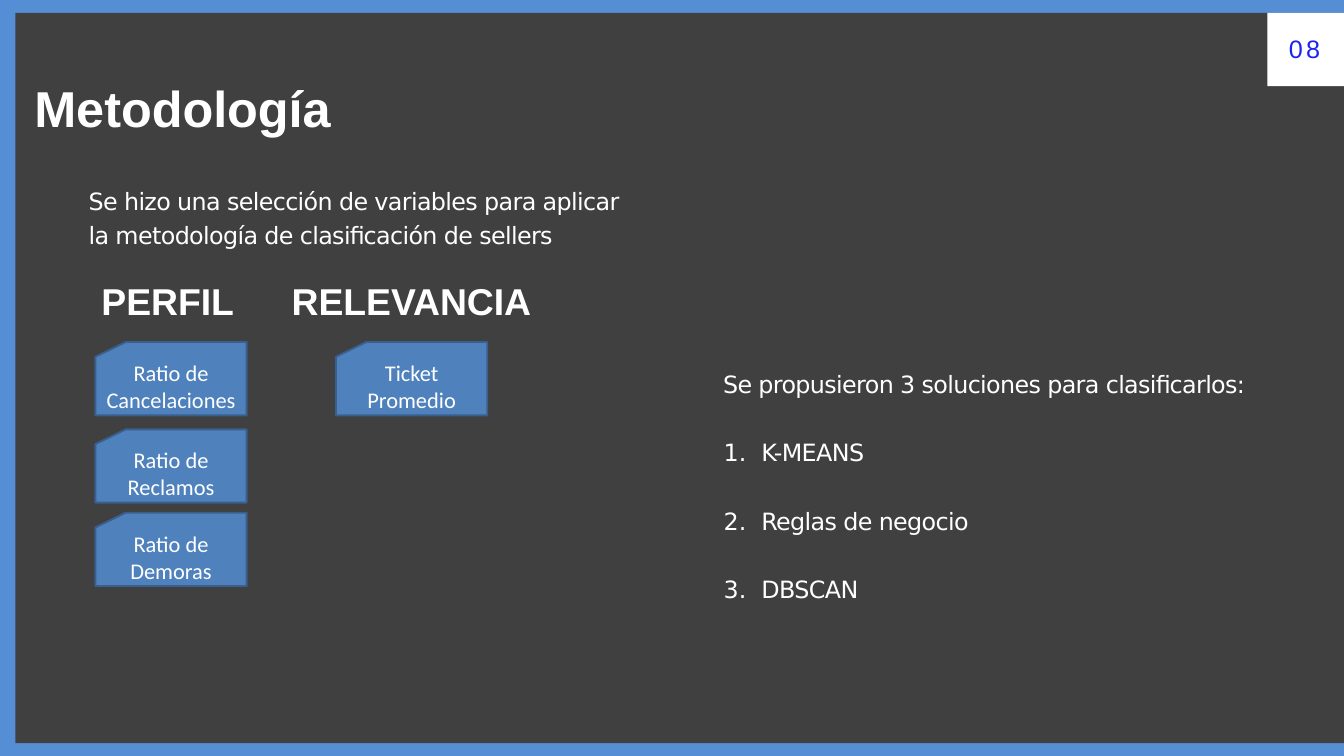
from pptx import Presentation
from pptx.dml.color import RGBColor
from pptx.enum.shapes import MSO_SHAPE as Kind
from pptx.enum.text import MSO_ANCHOR as Anchor, MSO_AUTO_SIZE as Auto, PP_ALIGN as Align
from pptx.oxml.xmlchemy import OxmlElement as Node
from pptx.util import Pt

PX = 9144  # 100 px to the inch
hue = RGBColor.from_string
WHITE = "FFFFFF"
HEAD = {"size": Pt(40), "name": "Arial", "bold": True}
BODY = {"size": Pt(25.5), "name": "DejaVu Sans"}

deck = Presentation()
deck.slide_width, deck.slide_height = 2000 * PX, 1125 * PX
slide = deck.slides.add_slide(deck.slide_layouts[5])
slide.background.fill.solid()
slide.background.fill.fore_color.rgb = hue("558ED5")


def block(kind, at, fill):
    shape = slide.shapes.add_shape(kind, *[n * PX for n in at])
    shape.shadow.inherit = False
    shape.fill.solid()
    shape.fill.fore_color.rgb = hue(fill)
    shape.line.fill.background()
    return shape


def write(at, lines, font, color=WHITE, before=1.3, track=0, lead=None, top=2, box=None):
    """Fill a text box, or the given placeholder, with one paragraph per line."""
    box = box or slide.shapes.add_textbox(0, 0, 0, 0)
    box.left, box.top, box.width, box.height = [n * PX for n in at]
    frame = box.text_frame
    form = {"word_wrap": True, "auto_size": Auto.SHAPE_TO_FIT_TEXT,
            "vertical_anchor": Anchor.TOP, "margin_left": 0, "margin_top": top * PX,
            "margin_right": 0, "margin_bottom": 0}
    for key, value in form.items():
        setattr(frame, key, value)
    for i, line in enumerate(lines):
        para = frame.paragraphs[0] if i == 0 else frame.add_paragraph()
        para.alignment = Align.LEFT
        para.space_before = Pt(before)
        if lead:
            para.line_spacing = lead
        para._p.get_or_add_pPr().set("marL", str(PX))
        run = para.add_run()
        run.text = line
        for key, value in font.items():
            setattr(run.font, key, value)
        run.font.color.rgb = hue(color)
        if track:
            run._r.get_or_add_rPr().set("spc", str(track))
    return frame


# Frame, title and page number
title = slide.shapes.title
panel = block(Kind.RECTANGLE, (23, 19, 1977, 1087), "404040")
title._element.addprevious(panel._element)
write((50, 112, 1442, 93), ["Metodología"], {**HEAD, "size": Pt(54)}, box=title)
block(Kind.RECTANGLE, (1886, 19, 114, 109), WHITE)
write((1917, 47, 67, 47), ["08"], {"size": Pt(27), "name": "Arial"}, "1A23F1",
      before=1.2, track=360)

# Introduction
prose = {"before": 1, "track": -70, "lead": 1.15, "top": 1}
write((131, 271, 794, 97), ["Se hizo una selección de variables para aplicar",
                            "la metodología de clasificación de sellers"], BODY, **prose)

# Variables by group
groups = [
    ("PERFIL", 150, 208, 142, ["Ratio de Cancelaciones", "Ratio de Reclamos", "Ratio de Demoras"]),
    ("RELEVANCIA", 433, 367, 500, ["Ticket Promedio"]),
]
for name, left, width, edge, cards in groups:
    write((left, 412, width, 69), [name], HEAD)
    for label, top in zip(cards, (509, 639, 763)):
        card = block(Kind.FLOWCHART_CARD, (edge, top, 225, 109), "4F81BD")
        card.line.color.rgb = hue("3A5F8C")
        card.line.width = Pt(2)
        card.text_frame.word_wrap = True
        card.text_frame.vertical_anchor = Anchor.MIDDLE
        para = card.text_frame.paragraphs[0]
        para.text = label
        para.alignment = Align.CENTER
        for key, value in {"size": Pt(24), "name": "Calibri"}.items():
            setattr(para.font, key, value)
        para.font.color.rgb = hue(WHITE)

# Numbered solutions
frame = write((1075, 543, 794, 350), ["Se propusieron 3 soluciones para clasificarlos:",
                                      "K-MEANS", "Reglas de negocio", "DBSCAN"], BODY, **prose)
for para in frame.paragraphs[1:]:
    para.space_before = Pt(38)
    props = para._p.get_or_add_pPr()
    props.set("marL", str(58 * PX))
    props.set("indent", str(-56 * PX))
    mark = Node("a:buAutoNum")
    mark.set("type", "arabicPeriod")
    props.append(mark)

deck.save("out.pptx")
